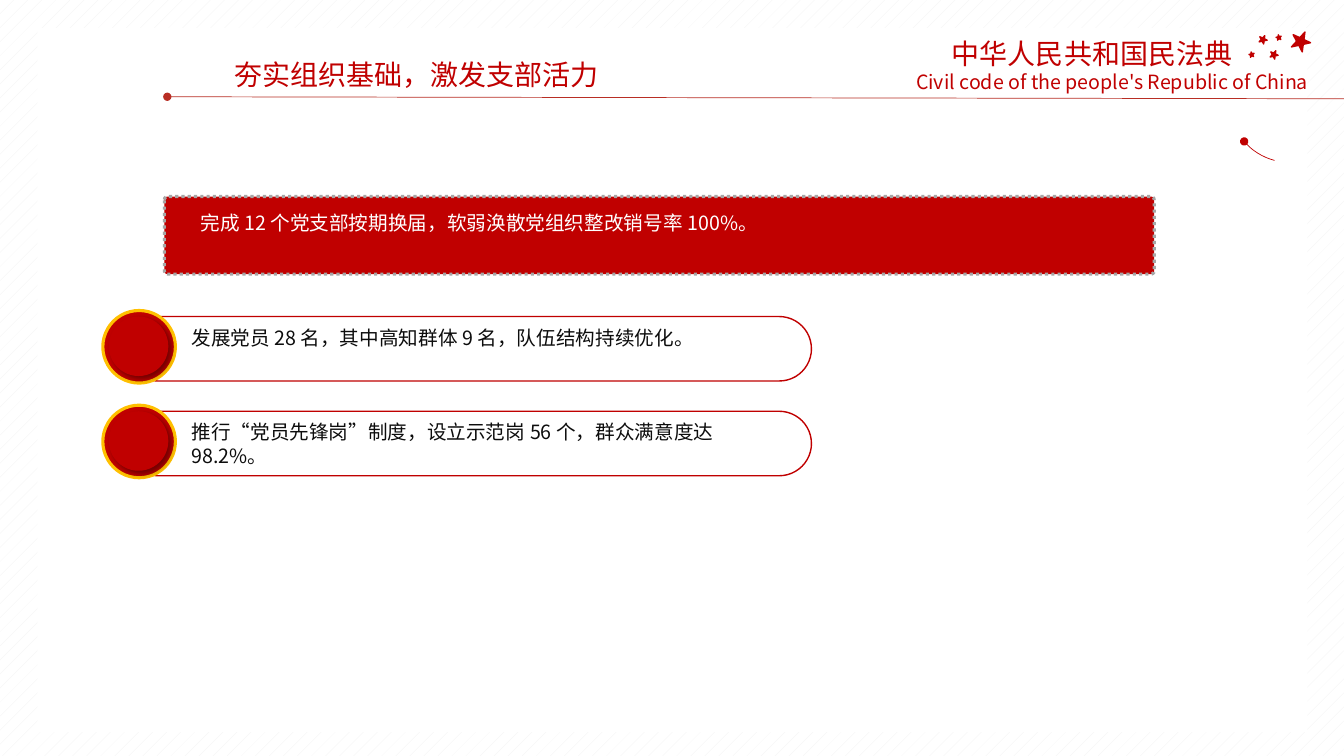
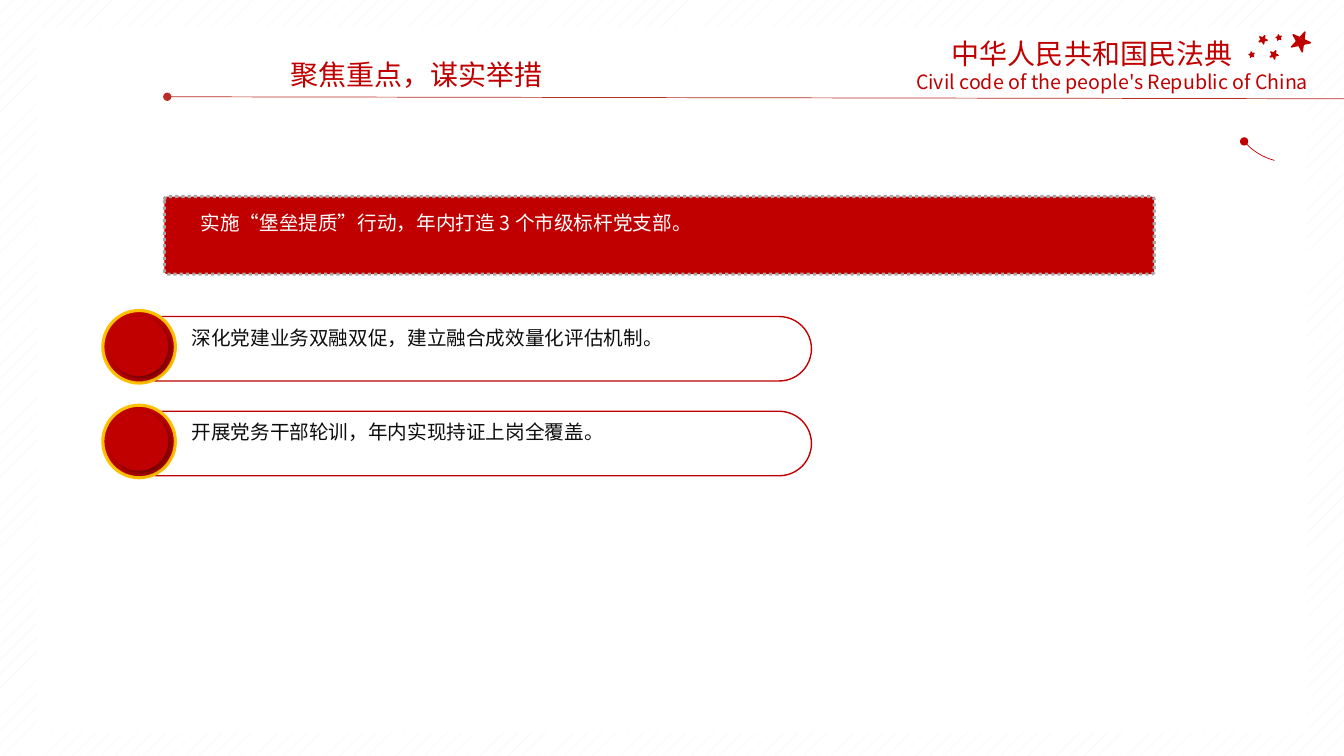
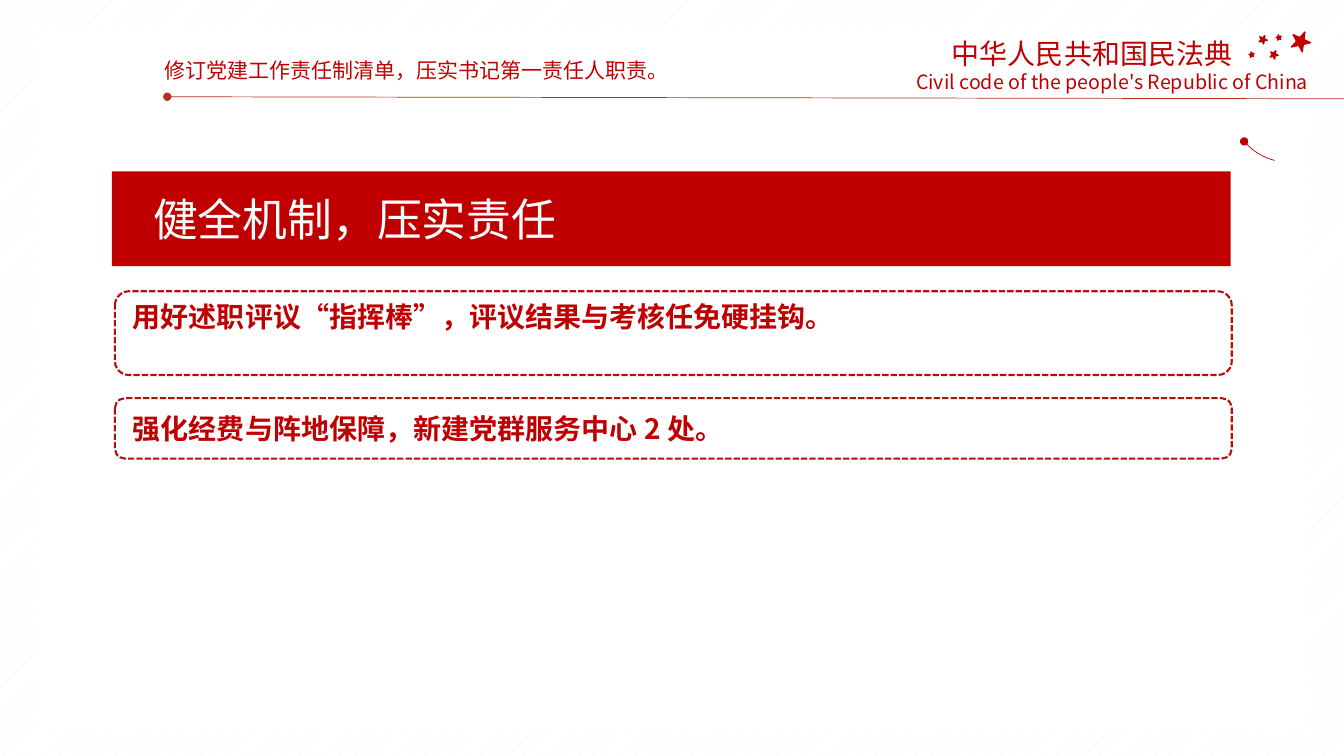
from dataclasses import dataclass
from typing import Optional

import lxml.etree
import pptx
import pptx.dml.color
import pptx.enum.dml
import pptx.enum.shapes
import pptx.enum.text
import pptx.oxml.ns
import pptx.util

# Slide size, font and palette
HEIGHT = pptx.util.Inches(7.5)
WIDTH = HEIGHT * 16 // 9
FONT = "Noto Sans CJK SC"
RGBColor = pptx.dml.color.RGBColor
RED = RGBColor(0xC0, 0x00, 0x00)
RULE_RED = RGBColor(0xB8, 0x2E, 0x24)
DASH_RED = RGBColor(0xB5, 0x0F, 0x0C)
GOLD = RGBColor(0xFF, 0xC0, 0x00)
GRAY = RGBColor(0xA6, 0xA6, 0xA6)
PALE = RGBColor(0xF2, 0xF2, 0xF2)
WHITE = RGBColor(0xFF, 0xFF, 0xFF)
INK = RGBColor(0x0D, 0x0D, 0x0D)

KIND = pptx.enum.shapes.MSO_SHAPE
DASH = pptx.enum.dml.MSO_LINE
ALIGN = pptx.enum.text.PP_ALIGN


@dataclass(frozen=True)
class Area:
    """A rectangle in percent of the slide's width and height."""
    left: float
    top: float
    width: float
    height: float

    def emu(self) -> tuple[int, int, int, int]:
        return (across(self.left), down(self.top),
                across(self.width), down(self.height))

    def lowered(self, rows: float) -> "Area":
        return Area(self.left, self.top + rows, self.width, self.height)


@dataclass(frozen=True)
class Outline:
    color: RGBColor
    points: float
    dash: Optional[DASH] = None


@dataclass(frozen=True)
class Style:
    size: float
    color: RGBColor = RED
    bold: bool = False
    align: Optional[ALIGN] = None
    leading: Optional[float] = None
    after: Optional[float] = None


@dataclass(frozen=True)
class Star:
    left: float
    top: float
    side: float
    turn: float


@dataclass(frozen=True)
class ListPage:
    title: str
    banner: str
    items: tuple[str, ...]


@dataclass(frozen=True)
class DashedItem:
    frame: Area
    label: Area
    text: str


def across(share: float) -> int:
    return round(WIDTH * share / 100)


def down(share: float) -> int:
    return round(HEIGHT * share / 100)


def square(left: float, top: float, side: float) -> Area:
    return Area(left, top, side, side * WIDTH / HEIGHT)


# Shared layout: places and text styles
PANEL = Area(2.78, 3.73, 94.5, 93.07)
TITLE = Area(8.4, 6.93, 45.23, 5.87)
MOTTO = Area(68.4, 4.13, 25.73, 5.87)
MOTTO_ENGLISH = Area(66.75, 8.53, 32.03, 4.53)
ARC = square(91.5, 5.6, 8.93)
STARS = (
    Star(96.08, 4.13, 1.43, 24.9),
    Star(94.5, 6.67, 0.6, 24.9),
    Star(93.68, 4.67, 0.6, 24.9),
    Star(92.93, 6.93, 0.38, 204.9),
    Star(94.95, 4.67, 0.38, 204.9),
)
HEADER = Style(20, align=ALIGN.CENTER)
SMALL_HEADER = Style(15, align=ALIGN.CENTER)
ENGLISH = Style(14, align=ALIGN.CENTER)
BANNER_TEXT = Style(14, WHITE, leading=20, after=5)
ITEM_TEXT = Style(14, INK)
HEADING_TEXT = Style(32, WHITE, align=ALIGN.JUSTIFY)
DASHED_TEXT = Style(20, bold=True, leading=21)

# List pages
BANNER = Area(12.23, 26, 73.65, 10.27)
BANNER_LABEL = Area(14.18, 26.67, 70.88, 8.67)
ITEM_STEP = 12.53
ITEM_LABEL = Area(14.25, 43.07, 42.45, 6.27)
PILL = Area(9.38, 41.87, 51, 8.53)
RING = square(7.65, 41.07, 5.4)
DISC = square(8.1, 41.87, 4.43)

# Duty page
BAND = Area(8.33, 22.67, 83.25, 12.53)
HEADING = Area(10.65, 24.67, 77.93, 8.53)

LIST_PAGES = (
    ListPage("夯实组织基础，激发支部活力",
             "完成 12 个党支部按期换届，软弱涣散党组织整改销号率 100%。",
             ("发展党员 28 名，其中高知群体 9 名，队伍结构持续优化。",
              "推行“党员先锋岗”制度，设立示范岗 56 个，群众满意度达 98.2%。")),
    ListPage("聚焦重点，谋实举措",
             "实施“堡垒提质”行动，年内打造 3 个市级标杆党支部。",
             ("深化党建业务双融双促，建立融合成效量化评估机制。",
              "开展党务干部轮训，年内实现持证上岗全覆盖。")),
)
DUTY_TITLE = "修订党建工作责任制清单，压实书记第一责任人职责。"
DUTY_HEADING = "健全机制，压实责任"
DUTY_ITEMS = (
    DashedItem(Area(8.55, 38.53, 83.1, 11.07), Area(9.15, 39.47, 80.93, 9.2),
               "用好述职评议“指挥棒”，评议结果与考核任免硬挂钩。"),
    DashedItem(Area(8.55, 52.67, 83.1, 8), Area(9.15, 54.27, 80.93, 5.33),
               "强化经费与阵地保障，新建党群服务中心 2 处。"),
)


# Drawing helpers
def add_node(parent, tag: str, **attributes: str):
    node = lxml.etree.SubElement(parent, pptx.oxml.ns.qn(tag))
    for name, value in attributes.items():
        node.set(name, value)
    return node


def write(box, text: str, style: Style, wrap: bool = True) -> None:
    frame = box.text_frame
    frame.text = text
    frame.word_wrap = wrap
    frame.auto_size = pptx.enum.text.MSO_AUTO_SIZE.NONE
    frame.vertical_anchor = pptx.enum.text.MSO_ANCHOR.TOP
    para = frame.paragraphs[0]
    para.alignment = style.align or ALIGN.LEFT
    if style.leading:
        para.line_spacing = pptx.util.Pt(style.leading)
    if style.after:
        para.space_after = pptx.util.Pt(style.after)
    for span in para.runs:
        span.font.size = pptx.util.Pt(style.size)
        span.font.bold = style.bold
        span.font.color.rgb = style.color
        span.font.name = FONT
        add_node(span.font._element, "a:ea", typeface=FONT)


def add_label(shapes, area: Area, text: str, style: Style,
              wrap: bool = True, inset: bool = True):
    box = shapes.add_textbox(*area.emu())
    write(box, text, style, wrap)
    if not inset:
        frame = box.text_frame
        frame.margin_left = frame.margin_right = 0
        frame.margin_top = frame.margin_bottom = 0
    return box


def add_form(shapes, kind: KIND, area: Area, fill: Optional[RGBColor] = None,
             outline: Optional[Outline] = None, corner: Optional[float] = None):
    box = shapes.add_shape(kind, *area.emu())
    box.shadow.inherit = False
    if fill is None:
        box.fill.background()
    else:
        box.fill.solid()
        box.fill.fore_color.rgb = fill
    if outline is None:
        box.line.fill.background()
    else:
        box.line.color.rgb = outline.color
        box.line.width = pptx.util.Pt(outline.points)
        if outline.dash is not None:
            box.line.dash_style = outline.dash
    if corner is not None:
        box.adjustments[0] = corner
    return box


def add_soft_shadow(box) -> None:
    effects = box.element.spPr.find(pptx.oxml.ns.qn("a:effectLst"))
    shadow = add_node(effects, "a:outerShdw", blurRad=str(pptx.util.Pt(4)),
                      dist=str(pptx.util.Pt(3)), dir=str(45 * 60000),
                      algn="tl", rotWithShape="0")
    color = add_node(shadow, "a:srgbClr", val="000000")
    add_node(color, "a:alpha", val="40000")


# Parts that every slide shares, kept on the layout
def draw_frame(page) -> None:
    shapes = page.shapes
    add_form(shapes, KIND.RECTANGLE, PANEL, WHITE)
    rule = shapes.add_connector(pptx.enum.shapes.MSO_CONNECTOR.STRAIGHT,
                                across(12.45), down(12.8),
                                across(100), down(13.07))
    rule.line.color.rgb = RULE_RED
    rule.line.width = pptx.util.Pt(0.5)
    add_node(rule.line._get_or_add_ln(), "a:headEnd", type="oval")
    add_node(rule.element.spPr, "a:effectLst")
    add_label(shapes, MOTTO, "中华人民共和国民法典", HEADER)
    add_label(shapes, MOTTO_ENGLISH,
              "Civil code of the people's Republic of China", ENGLISH, wrap=False)
    ornament = shapes.add_group_shape().shapes
    for star in STARS:
        box = add_form(ornament, KIND.STAR_5_POINT,
                       square(star.left, star.top, star.side),
                       RED, Outline(RED, 1))
        box.rotation = star.turn
    arc = add_form(ornament, KIND.ARC, ARC, outline=Outline(RED, 0.5))
    arc.adjustments[0] = 97.2
    arc.adjustments[1] = 118.04
    arc.rotation = 302.6
    add_node(arc.line._get_or_add_ln(), "a:tailEnd", type="oval")


def prepare_layout(layout, page) -> None:
    fill = layout.background.fill
    fill.patterned()
    fill.pattern = pptx.enum.dml.MSO_PATTERN.PERCENT_5
    fill.fore_color.rgb = PALE
    fill.back_color.rgb = WHITE
    draw_frame(page)
    tree = layout.shapes.element
    for box in list(page.shapes):
        if not box.is_placeholder:
            tree.append(box.element)
    names = tree.iter(pptx.oxml.ns.qn("p:cNvPr"))
    for number, name in enumerate(names, start=1):
        name.set("id", str(number))


def set_title(page, text: str, style: Style) -> None:
    title = page.shapes.title
    title.left, title.top, title.width, title.height = TITLE.emu()
    write(title, text, style)


# Page contents
def draw_item(shapes, text: str, drop: float) -> None:
    add_label(shapes, ITEM_LABEL.lowered(drop), text, ITEM_TEXT, inset=False)
    add_form(shapes, KIND.ROUNDED_RECTANGLE, PILL.lowered(drop),
             outline=Outline(RED, 1), corner=0.5)
    badge = shapes.add_group_shape().shapes
    add_form(badge, KIND.OVAL, RING.lowered(drop), RED, Outline(GOLD, 2.25))
    add_soft_shadow(add_form(badge, KIND.OVAL, DISC.lowered(drop), RED))


def draw_list_page(page, content: ListPage) -> None:
    shapes = page.shapes
    set_title(page, content.title, HEADER)
    add_form(shapes, KIND.ROUNDED_RECTANGLE, BANNER, RED,
             Outline(GRAY, 2.25, DASH.ROUND_DOT), corner=0.04)
    label = add_form(shapes, KIND.RECTANGLE, BANNER_LABEL, RED)
    write(label, content.banner, BANNER_TEXT)
    for index, text in enumerate(content.items):
        draw_item(shapes, text, index * ITEM_STEP)


def draw_duty_page(page) -> None:
    shapes = page.shapes
    set_title(page, DUTY_TITLE, SMALL_HEADER)
    band = shapes.add_group_shape().shapes
    add_form(band, KIND.RECTANGLE, BAND, RED)
    heading = add_form(band, KIND.RECTANGLE, HEADING, RED)
    write(heading, DUTY_HEADING, HEADING_TEXT)
    for item in DUTY_ITEMS:
        add_label(shapes, item.label, item.text, DASHED_TEXT)
        add_form(shapes, KIND.ROUNDED_RECTANGLE, item.frame,
                 outline=Outline(DASH_RED, 1.5, DASH.SQUARE_DOT))


def main() -> None:
    deck = pptx.Presentation()
    deck.slide_width, deck.slide_height = WIDTH, HEIGHT
    layout = deck.slide_layouts.get_by_name("Title Only")
    pages = [deck.slides.add_slide(layout) for _ in range(len(LIST_PAGES) + 1)]
    prepare_layout(layout, pages[0])
    for page, content in zip(pages, LIST_PAGES):
        draw_list_page(page, content)
    draw_duty_page(pages[-1])
    deck.save("out.pptx")


if __name__ == "__main__":
    main()
